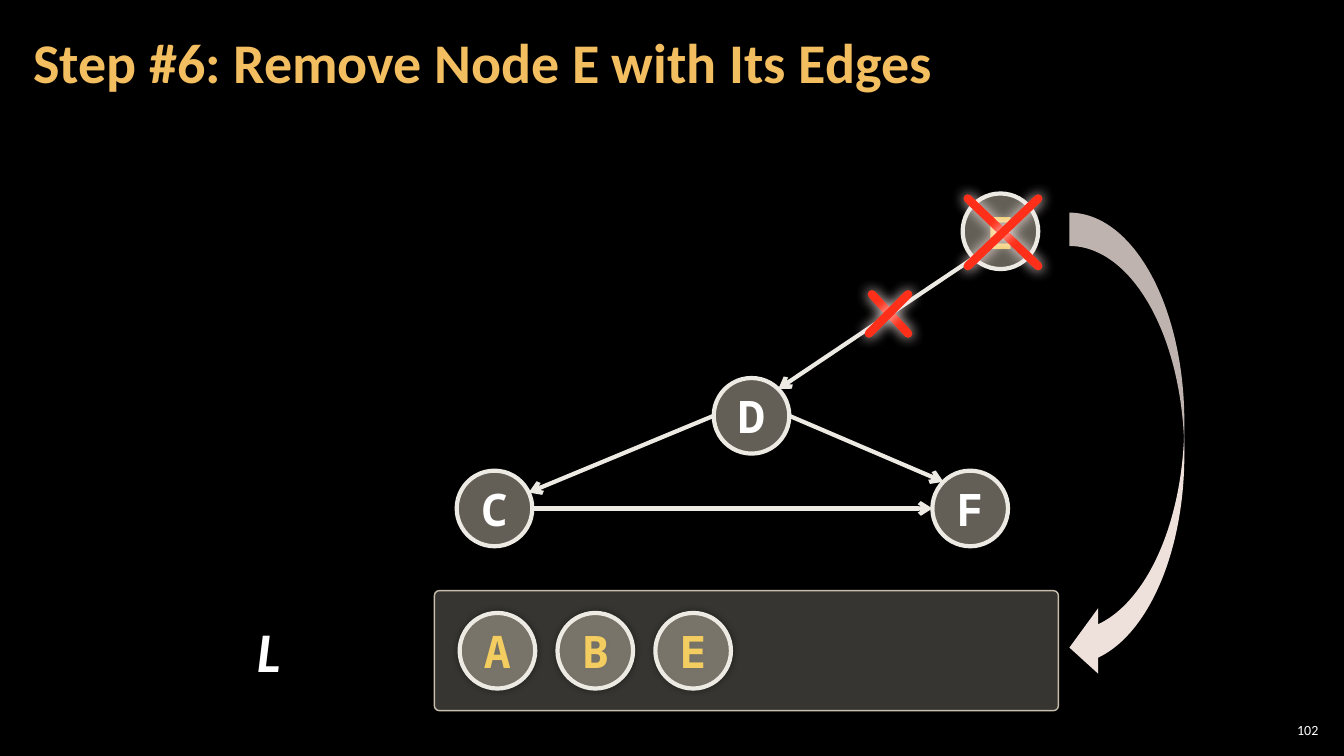
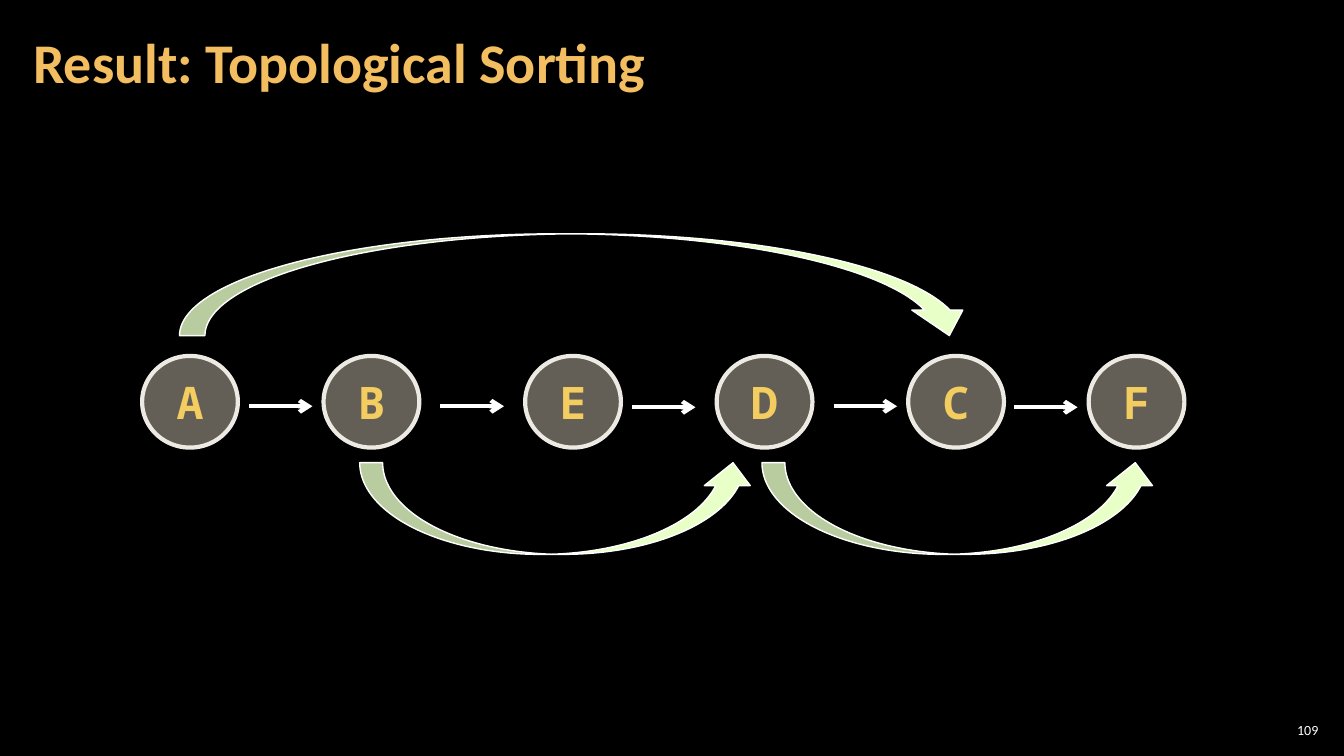
from dataclasses import dataclass
from math import cos, radians, sin

from lxml import etree
from pptx import Presentation
from pptx.dml.color import RGBColor
from pptx.enum import shapes, text
from pptx.oxml import ns
from pptx.util import Pt


@dataclass(frozen=True)
class Theme:
    background: str = "000000"
    title: str = "F3BE60"
    plain: str = "FFFFFF"
    sorted_label: str = "F3CD60"
    node: str = "C7BFAC"
    rim: str = "ECEAE3"
    panel: str = "D9D5C7"
    move: str = "EEE0DB"
    jump: str = "E8FFC8"
    cross: str = "FF2F19"
    font: str = "Calibri"
    node_font: str = "Noto Sans Mono"
    title_size: int = 40
    node_size: int = 32
    number_size: int = 10
    stroke: int = 3
    cross_stroke: int = 6
    node_shadow: tuple = ("000000", 40, 5)
    cross_glow: tuple = ("FFEDEB", 100, 10)


THEME = Theme()
SHAPE = shapes.MSO_SHAPE
ALIGN = text.PP_ALIGN

REMOVAL_TITLE, REMOVAL_NUMBER = "Step #6: Remove Node E with Its Edges", "102"
RESULT_TITLE, RESULT_NUMBER = "Result: Topological Sorting", "109"

GRAPH_DIAMETER = 54
GRAPH_NODES = {
    "C": (326.2, 336.2, THEME.plain),
    "D": (509.8, 270, THEME.plain),
    "F": (666, 336.2, THEME.plain),
    "E": (687.6, 138.2, THEME.sorted_label),
}
GRAPH_EDGES = [
    ("D", 0, "F", 225),
    ("D", 180, "C", -25),
    ("C", 0, "F", 180),
    ("E", 135, "D", -45),
]
REMOVED = "ABE"
LIST_PANEL = (310.3, 421.9, 445.7, 85.7)
LIST_LEFT, LIST_TOP, LIST_PITCH = 328.3, 437.8, 69.9
MOVE_ARROW = (763.9, 151.9, 82.1, 334.1)
CROSS_STROKES = [
    (691.2, 141.8, 741.6, 190.1),
    (741.6, 141.8, 691.2, 190.1),
    (622.8, 210.2, 648.7, 238.3),
    (648.7, 210.2, 620.6, 238.3),
]

ORDER = [("A", 101.5), ("B", 231.1), ("E", 375.1), ("D", 511.9), ("C", 648.7), ("F", 777.6)]
ORDER_TOP, ORDER_WIDTH, ORDER_HEIGHT = 254.2, 68.4, 65.5
STEPS = [(177.8, 290.2), (314.6, 290.2), (451.4, 290.9), (595.4, 290.2), (724.3, 290.9)]
STEP_LENGTH = 45.4
JUMPS = [
    (SHAPE.CURVED_DOWN_ARROW, (128.2, 167, 568.1, 72.7)),
    (SHAPE.CURVED_UP_ARROW, (544.3, 330.5, 283, 65.5)),
    (SHAPE.CURVED_UP_ARROW, (257, 330.5, 283, 65.5)),
]


def rgb(value):
    return RGBColor.from_string(value)


def points(*lengths):
    return [Pt(length) for length in lengths]


def set_effect(item, shadow=None):
    properties = item._element.spPr
    effects = properties.find(ns.qn("a:effectLst"))
    if effects is None:
        effects = etree.SubElement(properties, ns.qn("a:effectLst"))
    if shadow:
        color, opacity, blur = shadow
        outer = etree.SubElement(effects, ns.qn("a:outerShdw"), blurRad=str(Pt(blur)),
                                 dist="0", dir="0", algn="ctr", rotWithShape="0")
        tone = etree.SubElement(outer, ns.qn("a:srgbClr"), val=color)
        etree.SubElement(tone, ns.qn("a:alpha"), val=str(opacity * 1000))


def write(frame, words, size, color, align, font=THEME.font, bold=True, italic=False):
    frame.vertical_anchor = text.MSO_ANCHOR.MIDDLE
    paragraph = frame.paragraphs[0]
    paragraph.text = words
    paragraph.alignment = align
    face = paragraph.font
    face.name, face.size, face.bold, face.italic = font, Pt(size), bold, italic
    face.color.rgb = rgb(color)
    return paragraph


def set_insets(frame, side, end):
    frame.margin_left = frame.margin_right = Pt(side)
    frame.margin_top = frame.margin_bottom = Pt(end)


def add_filled(slide, kind, box, fill, opacity=100, line=None, width=1, shadow=None):
    shape = slide.shapes.add_shape(kind, *points(*box))
    shape.shadow.inherit = False
    shape.fill.solid()
    shape.fill.fore_color.rgb = rgb(fill)
    if opacity < 100:
        tone = shape._element.spPr.find(ns.qn("a:solidFill"))[0]
        etree.SubElement(tone, ns.qn("a:alpha"), val=str(opacity * 1000))
    if line:
        shape.line.color.rgb = rgb(line)
        shape.line.width = Pt(width)
    else:
        shape.line.fill.background()
    set_effect(shape, shadow)
    return shape


def add_node(slide, label, box, color=THEME.sorted_label, shadow=THEME.node_shadow):
    node = add_filled(slide, SHAPE.OVAL, box, THEME.node, 50, THEME.rim, THEME.stroke, shadow)
    node.text_frame.word_wrap = False
    write(node.text_frame, label, THEME.node_size, color, ALIGN.CENTER, THEME.node_font)


def add_line(slide, ends, color, width=THEME.stroke, arrow=True, shadow=None):
    line = slide.shapes.add_connector(shapes.MSO_CONNECTOR.STRAIGHT, *points(*ends))
    line.line.color.rgb = rgb(color)
    line.line.width = Pt(width)
    stroke = line.line._get_or_add_ln()
    if arrow:
        etree.SubElement(stroke, ns.qn("a:tailEnd"), type="arrow")
    else:
        stroke.set("cap", "rnd")
    set_effect(line, shadow)


def add_label(slide, box, words, size, align, **style):
    frame = slide.shapes.add_textbox(*points(*box)).text_frame
    frame.word_wrap = True
    write(frame, words, size, THEME.plain, align, **style)
    return frame


def add_slide(deck, heading, number):
    slide = deck.slides.add_slide(deck.slide_layouts[5])
    title = slide.shapes.title
    title.left, title.top, title.width, title.height = points(15.1, 2.9, 753.8, 87.1)
    set_insets(title.text_frame, 8.64, 2.88)
    paragraph = write(title.text_frame, heading, THEME.title_size, THEME.title, ALIGN.LEFT)
    paragraph.line_spacing = 0.9
    footer = add_label(slide, (910.8, 514.1, 33.8, 15.1), number,
                       THEME.number_size, ALIGN.RIGHT, bold=False)
    set_insets(footer, 2.88, 2.88)
    return slide


def rim_point(label, angle):
    left, top, _ = GRAPH_NODES[label]
    radius = GRAPH_DIAMETER / 2
    return (left + radius * (1 + cos(radians(angle))),
            top + radius * (1 + sin(radians(angle))))


def build_removal(deck):
    slide = add_slide(deck, REMOVAL_TITLE, REMOVAL_NUMBER)
    panel = add_filled(slide, SHAPE.ROUNDED_RECTANGLE, LIST_PANEL, THEME.panel, 25, THEME.node)
    panel.adjustments[0] = 0.04
    for label, (left, top, color) in GRAPH_NODES.items():
        add_node(slide, label, (left, top, GRAPH_DIAMETER, GRAPH_DIAMETER), color, None)
    for start, start_angle, end, end_angle in GRAPH_EDGES:
        add_line(slide, rim_point(start, start_angle) + rim_point(end, end_angle), THEME.rim)
    add_label(slide, (162, 437.8, 59.8, 53.3), "L", THEME.title_size, ALIGN.CENTER, italic=True)
    for place, label in enumerate(REMOVED):
        add_node(slide, label, (LIST_LEFT + place * LIST_PITCH, LIST_TOP,
                                GRAPH_DIAMETER, GRAPH_DIAMETER))
    move = add_filled(slide, SHAPE.CURVED_LEFT_ARROW, MOVE_ARROW, THEME.move)
    for place, ratio in enumerate((0.29, 0.57, 0.25)):
        move.adjustments[place] = ratio
    for ends in CROSS_STROKES:
        add_line(slide, ends, THEME.cross, THEME.cross_stroke, False, THEME.cross_glow)


def build_result(deck):
    slide = add_slide(deck, RESULT_TITLE, RESULT_NUMBER)
    for label, left in ORDER:
        add_node(slide, label, (left, ORDER_TOP, ORDER_WIDTH, ORDER_HEIGHT))
    for left, level in STEPS:
        add_line(slide, (left, level, left + STEP_LENGTH, level), THEME.plain)
    for kind, box in JUMPS:
        add_filled(slide, kind, box, THEME.jump, line=THEME.plain)


def main():
    deck = Presentation()
    deck.slide_width, deck.slide_height = points(960, 540)
    backdrop = deck.slide_master.background.fill
    backdrop.solid()
    backdrop.fore_color.rgb = rgb(THEME.background)
    build_removal(deck)
    build_result(deck)
    deck.save("out.pptx")


if __name__ == "__main__":
    main()
